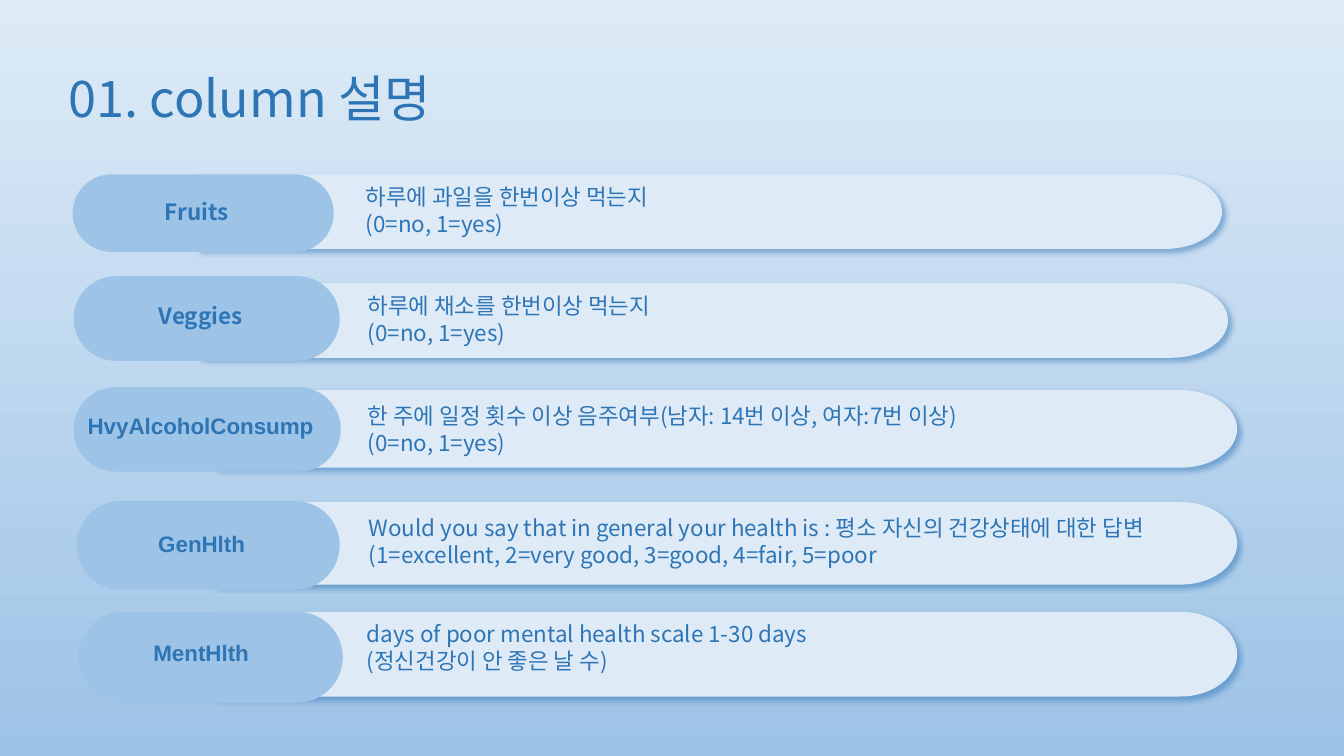
import math

import lxml.etree
import pptx
import pptx.dml.color
import pptx.enum.shapes
import pptx.enum.text
import pptx.oxml
import pptx.oxml.ns
import pptx.util

Inches = pptx.util.Inches
ALIGN = pptx.enum.text.PP_ALIGN
ANCHOR = pptx.enum.text.MSO_ANCHOR

# Content: label, label font, description, then boxes (left, top, width, height)
COLORS = {"sky": "DEEBF7", "pill": "9DC3E6", "ink": "2E75B6"}
KOREAN, LATIN = "Noto Sans CJK KR", "Arial"
TITLE = "01. column 설명"
COLUMNS = [
    ("Fruits", KOREAN, ["하루에 과일을 한번이상 먹는지", "(0=no, 1=yes)"],
     (1.97, 1.73, 10.15, 0.74), (0.72, 1.73, 2.59, 0.77),
     (0.45, 1.91, 3, 0.38), (3.53, 1.77, 9.06, 0.64)),
    ("Veggies", KOREAN, ["하루에 채소를 한번이상 먹는지", "(0=no, 1=yes)"],
     (1.98, 2.81, 10.2, 0.74), (0.73, 2.74, 2.64, 0.84),
     (0.46, 2.93, 3.06, 0.41), (3.55, 2.85, 9.06, 0.91)),
    ("HvyAlcoholConsump", LATIN,
     ["한 주에 일정 횟수 이상 음주여부(남자: 14번 이상, 여자:7번 이상)", "(0=no, 1=yes)"],
     (2.12, 3.87, 10.15, 0.77), (0.73, 3.84, 2.65, 0.84),
     (0.61, 4.04, 2.76, 0.37), (3.55, 3.94, 7.55, 0.64)),
    ("GenHlth", LATIN,
     ["Would you say that in general your health is : 평소 자신의 건강상태에 대한 답변",
      "(1=excellent, 2=very good, 3=good, 4=fair, 5=poor"],
     (2.12, 4.98, 10.15, 0.82), (0.76, 4.97, 2.61, 0.88),
     (0.49, 5.21, 3.02, 0.37), (3.56, 5.05, 8.64, 0.64)),
    ("MentHlth", LATIN,
     ["days of poor mental health scale 1-30 days", "(정신건강이 안 좋은 날 수)"],
     (2.12, 6.07, 10.15, 0.84), (0.78, 6.07, 2.62, 0.9),
     (0.6, 6.29, 2.79, 0.37), (3.54, 6.1, 8.39, 0.64)),
]
CAP_WIDTH, CAP_STEPS = 0.56, 32
SHADOW = (
    f'<a:effectLst {pptx.oxml.ns.nsdecls("a")}>'
    '<a:outerShdw blurRad="50800" dist="38100" dir="2700000" algn="tl" rotWithShape="0">'
    f'<a:srgbClr val="{COLORS["ink"]}"><a:alpha val="50000"/></a:srgbClr>'
    '</a:outerShdw></a:effectLst>')


def rgb(name):
    return pptx.dml.color.RGBColor.from_string(COLORS[name])


def paint(shape, color):
    shape.fill.solid()
    shape.fill.fore_color.rgb = rgb(color)
    shape.line.fill.background()


def add_text(slide, box, lines, size, face, bold=False, align=ALIGN.LEFT,
             anchor=ANCHOR.TOP, spacing=1.0):
    frame = slide.shapes.add_textbox(*map(Inches, box)).text_frame
    frame.word_wrap = True
    frame.vertical_anchor = anchor
    font_format = {"size": pptx.util.Pt(size), "name": face, "bold": bold}
    for index, line in enumerate(lines):
        paragraph = frame.add_paragraph() if index else frame.paragraphs[0]
        paragraph.alignment = align
        paragraph.line_spacing = spacing
        run = paragraph.add_run()
        run.text = line
        for key, value in font_format.items():
            setattr(run.font, key, value)
        run.font.color.rgb = rgb("ink")
        # Korean glyphs take the East Asian typeface
        east_asian = lxml.etree.SubElement(run.font._element, pptx.oxml.ns.qn("a:ea"))
        east_asian.set("typeface", face)


def add_bar(slide, box):
    """Bar with a square left end and a half-ellipse right end."""
    left, top, width, height = box
    cap_x, middle = left + width - CAP_WIDTH, top + height / 2
    angles = [math.pi * (step / CAP_STEPS - 0.5) for step in range(CAP_STEPS + 1)]
    outline = [(cap_x + CAP_WIDTH * math.cos(a), middle + height / 2 * math.sin(a))
               for a in angles] + [(left, top + height)]
    builder = slide.shapes.build_freeform(Inches(left), Inches(top))
    builder.add_line_segments([(Inches(x), Inches(y)) for x, y in outline], close=True)
    bar = builder.convert_to_shape()
    paint(bar, "sky")
    bar._element.spPr.append(pptx.oxml.parse_xml(SHADOW))


def add_pill(slide, box):
    pill = slide.shapes.add_shape(
        pptx.enum.shapes.MSO_SHAPE.ROUNDED_RECTANGLE, *map(Inches, box))
    pill.adjustments[0] = 0.5
    pill.shadow.inherit = False
    paint(pill, "pill")


def main():
    deck = pptx.Presentation()
    deck.slide_width, deck.slide_height = Inches(13.33), Inches(7.5)
    slide = deck.slides.add_slide(deck.slide_layouts[6])

    # Background, light at the top
    backdrop = slide.background.fill
    backdrop.gradient()
    backdrop.gradient_angle = 270
    for stop, color in zip(backdrop.gradient_stops, ("sky", "pill")):
        stop.color.rgb = rgb(color)

    # Title
    add_text(slide, (0.58, 0.53, 12.18, 0.94), [TITLE], 36, KOREAN,
             anchor=ANCHOR.MIDDLE, spacing=0.9)

    # One bar, pill, label and description per column
    for label, face, description, bar, pill, label_box, description_box in COLUMNS:
        add_bar(slide, bar)
        add_pill(slide, pill)
        add_text(slide, label_box, [label], 16, face, bold=True,
                 align=ALIGN.CENTER, anchor=ANCHOR.MIDDLE)
        add_text(slide, description_box, description, 16, KOREAN)

    deck.save("out.pptx")


if __name__ == "__main__":
    main()
